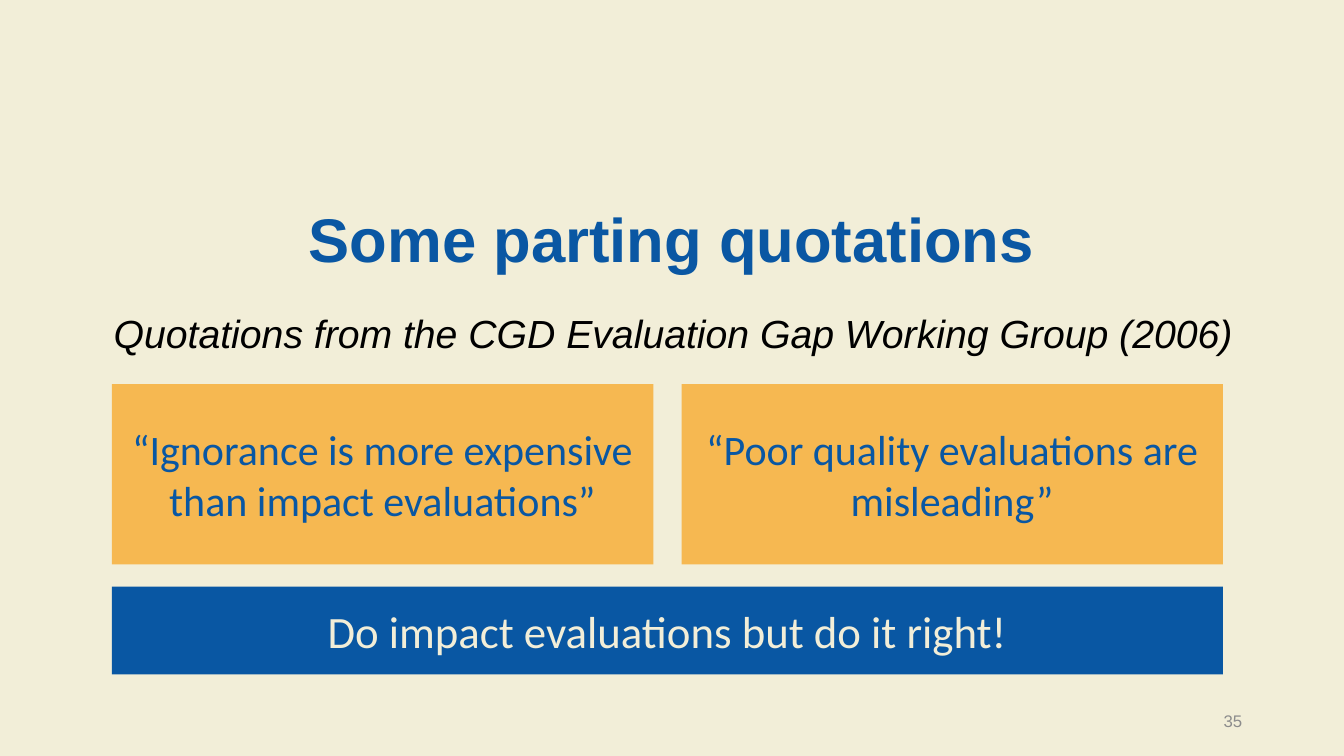
from pptx import Presentation
from pptx.dml.color import RGBColor
from pptx.enum.shapes import MSO_SHAPE
from pptx.enum.text import MSO_ANCHOR, PP_ALIGN
from pptx.util import Inches, Pt

CREAM = RGBColor(0xF2, 0xEE, 0xD8)
TITLE_BLUE = RGBColor(0x0A, 0x57, 0xA3)
BLUE = RGBColor(0x09, 0x57, 0xA3)
AMBER = RGBColor(0xF6, 0xB8, 0x51)
BLACK = RGBColor(0, 0, 0)
GREY = RGBColor(0x8C, 0x8C, 0x8C)

TITLE = "Some parting quotations"
SUBTITLE = "Quotations from the CGD Evaluation Gap Working Group (2006)"
QUOTES = [
    "“Ignorance is more expensive than impact evaluations”",
    "“Poor quality evaluations are misleading”",
]
MESSAGE = "Do impact evaluations but do it right!"
PAGE = "35"

LEFT, WIDTH, GAP = 1.11, 11.02, 0.28
QUOTE_TOP, QUOTE_HEIGHT = 3.81, 1.79
MESSAGE_TOP, MESSAGE_HEIGHT = 5.82, 0.87


def write(s, text, font, color, anchor, align=PP_ALIGN.CENTER, spacing=1.0):
    tf = s.text_frame
    tf.word_wrap = True
    tf.vertical_anchor = anchor
    p = tf.paragraphs[0]
    p.alignment = align
    p.line_spacing = spacing
    r = p.add_run()
    r.text = text
    for name, value in font.items():
        setattr(r.font, name, value)
    r.font.color.rgb = color


def add_text(slide, box, *args, **kwargs):
    write(slide.shapes.add_textbox(*map(Inches, box)), *args, **kwargs)


def add_panel(slide, box, fill, text, size, color):
    s = slide.shapes.add_shape(MSO_SHAPE.RECTANGLE, *map(Inches, box))
    s.shadow.inherit = False
    s.fill.solid()
    s.fill.fore_color.rgb = fill
    s.line.fill.background()
    write(s, text, {"name": "Calibri", "size": Pt(size)}, color, MSO_ANCHOR.MIDDLE)


def main():
    prs = Presentation()
    prs.slide_width, prs.slide_height = Inches(13.33), Inches(7.5)
    slide = prs.slides.add_slide(prs.slide_layouts[6])
    slide.background.fill.solid()
    slide.background.fill.fore_color.rgb = CREAM

    add_text(slide, (0, 2.03, 13.33, 1.46), TITLE,
             {"name": "Arial", "size": Pt(44), "bold": True},
             TITLE_BLUE, MSO_ANCHOR.TOP, spacing=0.9)
    add_text(slide, (0.27, 2.93, 12.81, 4.28), SUBTITLE,
             {"name": "Arial", "size": Pt(28), "italic": True},
             BLACK, MSO_ANCHOR.TOP, spacing=1.2)

    quote_width = (WIDTH - GAP) / len(QUOTES)
    for i, quote in enumerate(QUOTES):
        box = (LEFT + i * (quote_width + GAP), QUOTE_TOP, quote_width, QUOTE_HEIGHT)
        add_panel(slide, box, AMBER, quote, 30, BLUE)
    add_panel(slide, (LEFT, MESSAGE_TOP, WIDTH, MESSAGE_HEIGHT), BLUE, MESSAGE, 32, CREAM)

    add_text(slide, (9.42, 6.95, 3, 0.4), PAGE, {"name": "Arial", "size": Pt(12)},
             GREY, MSO_ANCHOR.MIDDLE, align=PP_ALIGN.RIGHT)
    prs.save("out.pptx")


if __name__ == "__main__":
    main()
